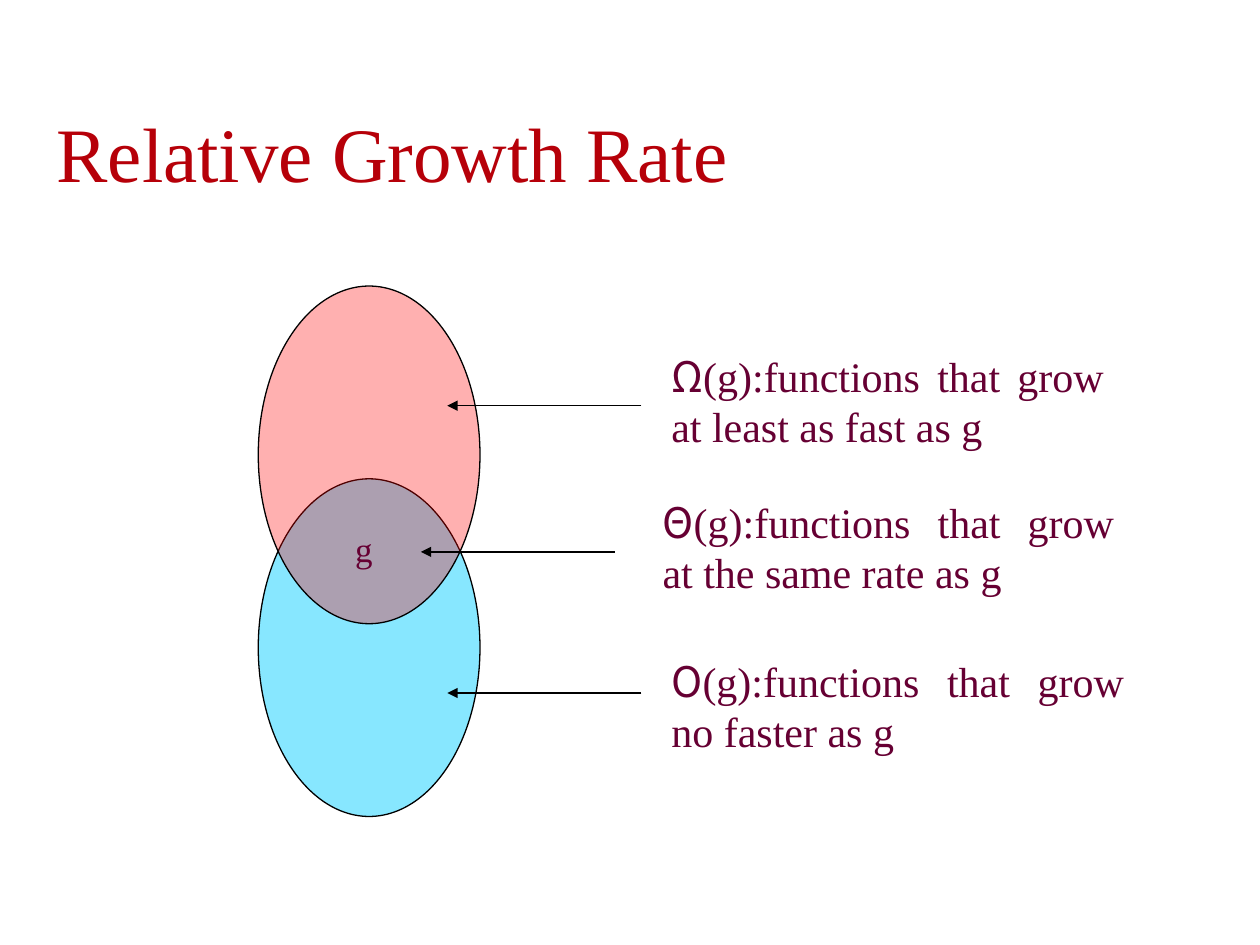
"""Build a slide relating the Ω, Θ and Ο growth classes of a function g."""
from typing import NamedTuple

from lxml.etree import SubElement
from pptx import Presentation
from pptx.dml.color import RGBColor
from pptx.enum.shapes import MSO_CONNECTOR, MSO_SHAPE
from pptx.enum.text import MSO_ANCHOR, PP_ALIGN
from pptx.oxml.ns import qn
from pptx.util import Inches, Pt

COLORS = {
    "title": "B60009",
    "text": "660033",
    "line": "000000",
    "upper": "FF0000",
    "lower": "00CCFF",
}
SERIF = "Times New Roman"
SYMBOL = "Noto Sans CJK SC"
ARROW_LENGTH = 1.54


class Ellipse(NamedTuple):
    top: float
    color: str
    opacity: int


class Label(NamedTuple):
    left: float
    top: float
    width: float
    height: float
    size: int
    runs: list[tuple[str, str]]


class Arrow(NamedTuple):
    start: float
    y: float


ELLIPSES = [Ellipse(3.8, "lower", 47), Ellipse(2.27, "upper", 31)]
LABELS = [
    Label(2.72, 4.14, 0.66, 0.96, 20, [("g", SERIF)]),
    Label(5.23, 2.73, 3.63, 1.05, 24,
          [("Ω", SYMBOL), ("(g):functions that grow at least as fast as g", SERIF)]),
    Label(5.16, 3.89, 3.78, 1.05, 24,
          [("Θ", SYMBOL), ("(g):functions that grow at the same rate as g", SERIF)]),
    Label(5.23, 5.15, 3.79, 1.05, 24,
          [("Ο", SYMBOL), ("(g):functions that grow no faster as g", SERIF)]),
]
ARROWS = [Arrow(5.09, 3.22), Arrow(4.88, 4.38), Arrow(5.09, 5.5)]


def rgb(name: str) -> RGBColor:
    return RGBColor.from_string(COLORS[name])


def format_font(font, name: str, size: int, color: str) -> None:
    for attribute, value in {"name": name, "size": Pt(size), "bold": False}.items():
        setattr(font, attribute, value)
    font.color.rgb = rgb(color)


def format_line(line) -> None:
    line.color.rgb = rgb("line")
    line.width = Pt(0.75)


def set_title(slide) -> None:
    title = slide.shapes.title
    position = {"left": 0.35, "top": 0.79, "width": 9.45, "height": 0.83}
    for attribute, value in position.items():
        setattr(title, attribute, Inches(value))
    title.text_frame.text = "Relative Growth Rate"
    title.text_frame.vertical_anchor = MSO_ANCHOR.BOTTOM
    paragraph = title.text_frame.paragraphs[0]
    paragraph.alignment = PP_ALIGN.LEFT
    format_font(paragraph.runs[0].font, SERIF, 44, "title")


def add_ellipse(slide, ellipse: Ellipse) -> None:
    shape = slide.shapes.add_shape(
        MSO_SHAPE.OVAL, Inches(2.05), Inches(ellipse.top), Inches(1.76), Inches(2.68))
    shape.shadow.inherit = False
    shape.fill.solid()
    shape.fill.fore_color.rgb = rgb(ellipse.color)
    color = shape.fill._xPr.find(qn("a:solidFill"))[0]
    SubElement(color, qn("a:alpha"), val=str(ellipse.opacity * 1000))
    format_line(shape.line)


def add_label(slide, label: Label) -> None:
    box = slide.shapes.add_textbox(*map(Inches, label[:4]))
    box.text_frame.word_wrap = True
    paragraph = box.text_frame.paragraphs[0]
    paragraph.alignment = PP_ALIGN.JUSTIFY
    for text, font_name in label.runs:
        run = paragraph.add_run()
        run.text = text
        format_font(run.font, font_name, label.size, "text")


def add_arrow(slide, arrow: Arrow) -> None:
    connector = slide.shapes.add_connector(
        MSO_CONNECTOR.STRAIGHT, Inches(arrow.start), Inches(arrow.y),
        Inches(arrow.start - ARROW_LENGTH), Inches(arrow.y))
    format_line(connector.line)
    SubElement(connector.line._get_or_add_ln(), qn("a:tailEnd"), type="triangle")
    SubElement(connector._element.spPr, qn("a:effectLst"))


def main() -> None:
    presentation = Presentation()
    presentation.slide_width = Inches(10)
    presentation.slide_height = Inches(7.5)
    slide = presentation.slides.add_slide(presentation.slide_layouts[5])
    set_title(slide)
    for ellipse in ELLIPSES:
        add_ellipse(slide, ellipse)
    for label in LABELS:
        add_label(slide, label)
    for arrow in ARROWS:
        add_arrow(slide, arrow)
    presentation.save("out.pptx")


if __name__ == "__main__":
    main()
